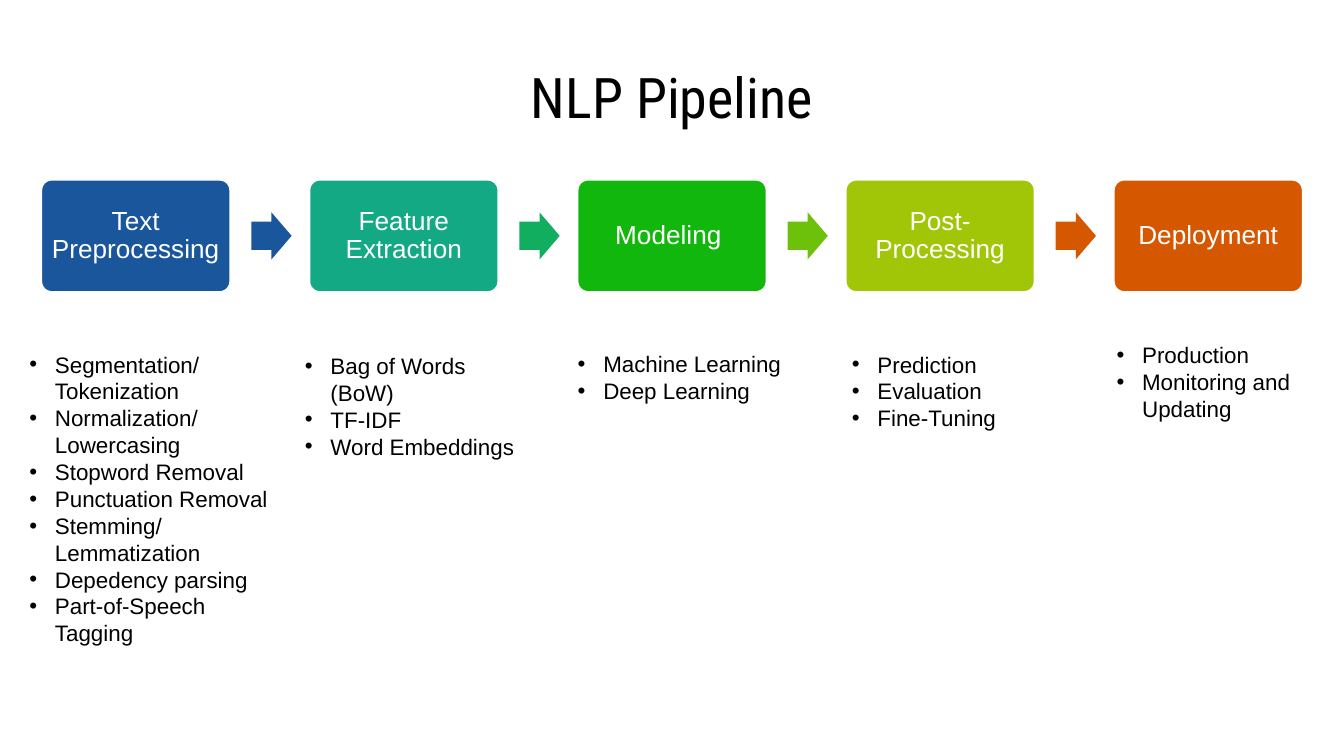
from lxml.etree import SubElement
from pptx import Presentation
from pptx.dml.color import RGBColor
from pptx.enum.shapes import MSO_SHAPE
from pptx.enum.text import MSO_ANCHOR, PP_ALIGN
from pptx.oxml.ns import qn
from pptx.util import Inches, Pt

# Content
TITLE = "NLP Pipeline"
COLORS = {
    "blue": "1A569C", "teal": "14A985", "mint": "12AE60", "green": "12B70E",
    "lime": "6EC10A", "olive": "A1C607", "orange": "D55800",
    "black": "000000", "white": "FFFFFF",
}
STAGES = [  # label, box color, color of the arrow that follows
    ("Text Preprocessing", "blue", "blue"),
    ("Feature Extraction", "teal", "mint"),
    ("Modeling ", "green", "lime"),
    ("Post-Processing", "olive", "orange"),
    ("Deployment", "orange", None),
]
LISTS = [  # left, top, width, height, items
    (0.12, 2.56, 1.99, 2.32, [
        "Segmentation/ Tokenization", "Normalization/ Lowercasing",
        "Stopword Removal", "Punctuation Removal", "Stemming/ Lemmatization",
        "Depedency parsing", "Part-of-Speech Tagging"]),
    (2.17, 2.57, 1.85, 0.91, ["Bag of Words (BoW)", "TF-IDF", "Word Embeddings"]),
    (4.2, 2.56, 1.85, 0.5, ["Machine Learning", "Deep Learning"]),
    (6.24, 2.56, 1.67, 0.71, ["Prediction", "Evaluation", "Fine-Tuning"]),
    (8.21, 2.49, 1.67, 0.71, ["Production", "Monitoring and Updating"]),
]

# Slide and grid of the flow row
SLIDE_W = 10
SLIDE_H = SLIDE_W * 9 / 16
FIRST, LAST, TOP = 0.3, 8.28, 1.33
PITCH = (LAST - FIRST) / (len(STAGES) - 1)
BOX_W, BOX_H = 1.42, 0.85
ARROW_W, ARROW_H, ARROW_DX = 0.3, 0.35, 1.57
INDENT = Inches(0.19)

prs = Presentation()
prs.slide_width, prs.slide_height = Inches(SLIDE_W), Inches(SLIDE_H)
s = prs.slides.add_slide(prs.slide_layouts[6])


def rgb(name):
    return RGBColor.from_string(COLORS[name])


def add_run(p, text, size, color="black", font="Arial"):
    r = p.add_run()
    r.text = text
    r.font.size, r.font.name = Pt(size), font
    r.font.color.rgb = rgb(color)


def set_frame(tf, inset_x, inset_y, anchor):
    tf.word_wrap = True
    tf.margin_left = tf.margin_right = Inches(inset_x)
    tf.margin_top = tf.margin_bottom = Inches(inset_y)
    tf.vertical_anchor = anchor


def add_text(x, y, w, h):
    return s.shapes.add_textbox(*map(Inches, (x, y, w, h))).text_frame


def add_shape(kind, x, y, w, h, color, adjustments):
    sp = s.shapes.add_shape(kind, *map(Inches, (x, y, w, h)))
    sp.shadow.inherit = False
    sp.fill.solid()
    sp.fill.fore_color.rgb = rgb(color)
    sp.line.fill.background()
    for i, value in enumerate(adjustments):
        sp.adjustments[i] = value
    return sp


def add_bullet(p):
    pPr = p._p.get_or_add_pPr()
    pPr.set("marL", str(INDENT))
    pPr.set("indent", str(-INDENT))
    clr = SubElement(pPr, qn("a:buClr"))
    SubElement(clr, qn("a:srgbClr"), val=COLORS["black"])
    SubElement(pPr, qn("a:buFont"), typeface="Arial")
    SubElement(pPr, qn("a:buChar"), char="•")


# Title
tf = add_text(0.5, 0.45, 9, 0.53)
set_frame(tf, 0.1, 0.1, MSO_ANCHOR.MIDDLE)
p = tf.paragraphs[0]
p.alignment = PP_ALIGN.CENTER
add_run(p, TITLE, 30, font="Roboto Condensed")

# Stages and arrows
for i, (label, color, arrow) in enumerate(STAGES):
    x = FIRST + i * PITCH
    sp = add_shape(MSO_SHAPE.ROUNDED_RECTANGLE, x, TOP, BOX_W, BOX_H, color, [0.1])
    sp.line.color.rgb = rgb("white")
    sp.line.width = Pt(2)
    set_frame(sp.text_frame, 0.06, 0.06, MSO_ANCHOR.MIDDLE)
    p = sp.text_frame.paragraphs[0]
    p.alignment, p.line_spacing = PP_ALIGN.CENTER, 0.9
    add_run(p, label, 14, "white")
    if arrow:
        add_shape(MSO_SHAPE.RIGHT_ARROW, x + ARROW_DX, TOP + (BOX_H - ARROW_H) / 2,
                  ARROW_W, ARROW_H, arrow, [0.6, 0.5])

# Bullet lists
for x, y, w, h, items in LISTS:
    tf = add_text(x, y, w, h)
    set_frame(tf, 0.1, 0.05, MSO_ANCHOR.TOP)
    for i, item in enumerate(items):
        p = tf.add_paragraph() if i else tf.paragraphs[0]
        add_bullet(p)
        add_run(p, item, 12)

prs.save("out.pptx")
